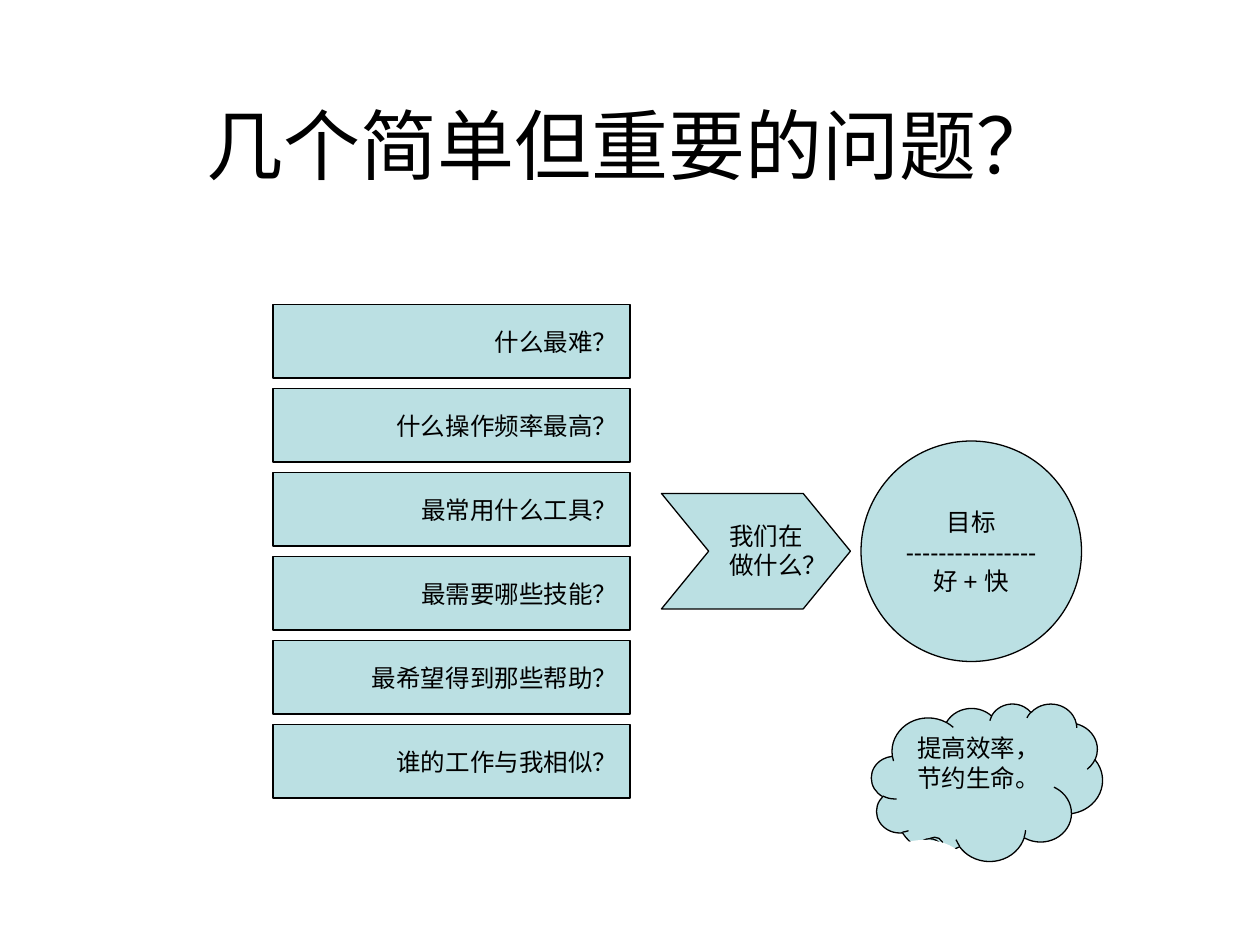
from pptx import Presentation
from pptx import util as u
from pptx.dml import color
from pptx.enum import shapes, text

INK = "000000"
PALE_TEAL = "BBE0E3"
WHITE = "FFFFFF"
QUESTIONS = [
    "什么最难？",
    "什么操作频率最高？",
    "最常用什么工具？",
    "最需要哪些技能？",
    "最希望得到那些帮助？",
    "谁的工作与我相似？",
]


def rgb(value):
    return color.RGBColor.from_string(value)


def write(holder, *lines, size=14, align=text.PP_ALIGN.CENTER,
          anchor=text.MSO_ANCHOR.MIDDLE, wrap=True):
    frame = holder.text_frame
    frame.word_wrap = wrap
    frame.vertical_anchor = anchor
    frame.margin_left = frame.margin_right = u.Pt(7.2)
    frame.margin_top = frame.margin_bottom = u.Pt(3.6)
    for index, line in enumerate(lines):
        paragraph = frame.add_paragraph() if index else frame.paragraphs[0]
        paragraph.alignment = align
        run = paragraph.add_run()
        run.text = line
        run.font.name = "Arial"
        run.font.size = u.Pt(size)
        run.font.color.rgb = rgb(INK)


def paint(shape, fill=PALE_TEAL, outlined=True):
    shape.shadow.inherit = False
    shape.fill.solid()
    shape.fill.fore_color.rgb = rgb(fill)
    if outlined:
        shape.line.color.rgb = rgb(INK)
        shape.line.width = u.Pt(0.75)
    else:
        shape.line.fill.background()
    return shape


def add_block(slide, kind, left, top, width, height, **style):
    bounds = [u.Pt(value) for value in (left, top, width, height)]
    return paint(slide.shapes.add_shape(kind, *bounds), **style)


def add_heading(slide, heading):
    title = slide.shapes.title
    title.left, title.top = u.Pt(54), u.Pt(24)
    title.width, title.height = u.Pt(612), u.Pt(116)
    write(title, heading, size=44)


def add_question(slide, row, question):
    box = add_block(slide, shapes.MSO_SHAPE.RECTANGLE, 156, 174 + 48 * row, 204, 42)
    write(box, question, align=text.PP_ALIGN.RIGHT, wrap=False)


def add_arrow(slide):
    outline = slide.shapes.build_freeform(378, 282, scale=u.Pt(1))
    outline.add_line_segments(
        [(459, 282), (486, 315), (459, 348), (378, 348), (405, 315)], close=True)
    paint(outline.convert_to_shape())
    caption = slide.shapes.add_textbox(u.Pt(409.5), u.Pt(294), u.Pt(70.5), u.Pt(41))
    write(caption, "我们在", "做什么？", align=text.PP_ALIGN.LEFT,
          anchor=text.MSO_ANCHOR.TOP)


def add_goal(slide):
    goal = add_block(slide, shapes.MSO_SHAPE.FLOWCHART_CONNECTOR, 492, 252, 126, 126)
    write(goal, "目标", "-" * 16, "好 + 快", wrap=False)


def add_slogan(slide):
    cloud = add_block(slide, shapes.MSO_SHAPE.CLOUD_CALLOUT, 498, 402, 132, 90)
    cloud.adjustments[0] = -0.23
    cloud.adjustments[1] = 0.41
    write(cloud, "提高效率，节约生命。", anchor=text.MSO_ANCHOR.TOP)
    add_block(slide, shapes.MSO_SHAPE.OVAL, 504, 480, 48, 30,
              fill=WHITE, outlined=False)


def main():
    deck = Presentation()
    deck.slide_width, deck.slide_height = u.Pt(720), u.Pt(540)
    slide = deck.slides.add_slide(deck.slide_layouts[5])
    add_heading(slide, "几个简单但重要的问题？")
    for row, question in enumerate(QUESTIONS):
        add_question(slide, row, question)
    add_goal(slide)
    add_arrow(slide)
    add_slogan(slide)
    deck.save("out.pptx")


if __name__ == "__main__":
    main()
